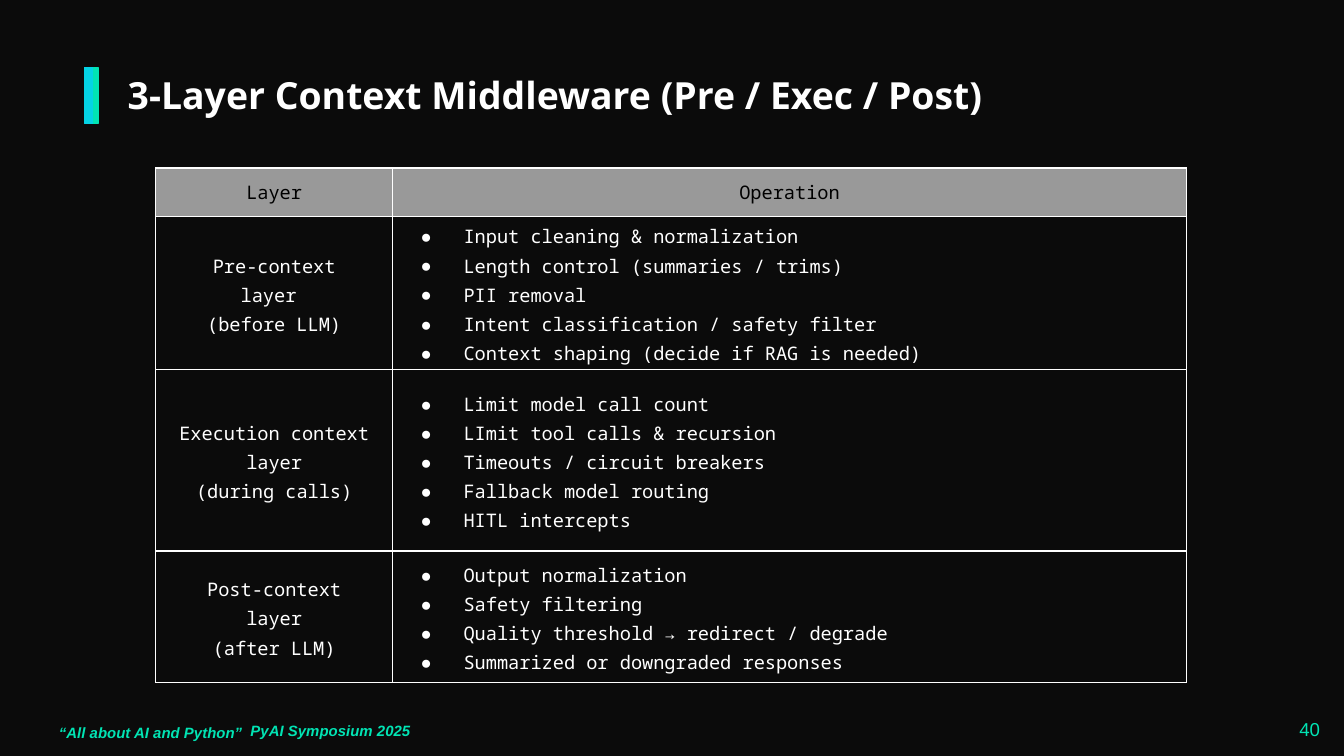
from lxml import etree
from pptx import Presentation
from pptx import util as u
from pptx.dml.color import RGBColor
from pptx.enum import shapes, text
from pptx.oxml.ns import qn

COLORS = {"background": "0B0B0B", "green": "01E4B4", "cyan": "04D3E5",
          "white": "FFFFFF", "black": "000000", "header": "999999"}
TITLE = "3-Layer Context Middleware (Pre / Exec / Post)"
HEADER = ("Layer", "Operation")
LAYERS = [
    (["Pre-context", "layer ", "(before LLM)"],
     ["Input cleaning & normalization", "Length control (summaries / trims)",
      "PII removal", "Intent classification / safety filter",
      "Context shaping (decide if RAG is needed)"]),
    (["Execution context", "layer", "(during calls)"],
     ["Limit model call count", "LImit tool calls & recursion",
      "Timeouts / circuit breakers", "Fallback model routing", "HITL intercepts"]),
    (["Post-context", "layer", "(after LLM)"],
     ["Output normalization", "Safety filtering",
      "Quality threshold → redirect / degrade", "Summarized or downgraded responses"]),
]
COLUMNS = (1.76, 5.91)
ROWS = (0.36, 1.14, 1.35, 0.98)
BARS = [(0.67, "green"), (0.63, "cyan")]
LEFT, CENTER, RIGHT = text.PP_ALIGN.LEFT, text.PP_ALIGN.CENTER, text.PP_ALIGN.RIGHT
MIDDLE, BOTTOM = text.MSO_ANCHOR.MIDDLE, text.MSO_ANCHOR.BOTTOM
FOOTERS = [
    ("“All about AI and Python”", (0.34, 5.12, 2.29, 0.48), LEFT, BOTTOM, 0.13, 8, True),
    ("PyAI Symposium 2025", (1.73, 5.29, 1.46, 0.29), CENTER, MIDDLE, 0.1, 8, True),
    ("40", (9.32, 5.34, 0.6, 0.17), RIGHT, MIDDLE, 0.1, 10, False),
]


def color(name):
    return RGBColor.from_string(COLORS[name])


def set_font(para, name, size, shade, bold=False, italic=False):
    font = para.font
    font.name, font.size, font.bold, font.italic = name, u.Pt(size), bold, italic
    font.color.rgb = color(shade)


def set_frame(frame, anchor, bottom=0.1):
    frame.word_wrap = True
    frame.vertical_anchor = anchor
    frame.margin_left = frame.margin_right = frame.margin_top = u.Inches(0.1)
    frame.margin_bottom = u.Inches(bottom)


def add_color(parent, tag, shade):
    etree.SubElement(etree.SubElement(parent, qn(tag)), qn("a:srgbClr"), val=COLORS[shade])


def add_bullet(para):
    props = para._p.get_or_add_pPr()
    props.set("marL", str(u.Inches(0.5)))
    props.set("indent", str(u.Inches(-0.32)))
    add_color(props, "a:buClr", "white")
    etree.SubElement(props, qn("a:buFont"), typeface="Noto Sans Mono")
    etree.SubElement(props, qn("a:buChar"), char="●")


def add_borders(cell):
    props = cell._tc.get_or_add_tcPr()
    for side in ("lnL", "lnR", "lnT", "lnB"):
        add_color(etree.SubElement(props, qn("a:" + side), w=str(u.Pt(0.75))),
                  "a:solidFill", "white")


def fill_cell(cell, lines, header=False, bullets=False):
    add_borders(cell)
    if header:
        cell.fill.solid()
        cell.fill.fore_color.rgb = color("header")
    else:
        cell.fill.background()
    cell.vertical_anchor = MIDDLE
    cell.margin_left = cell.margin_right = u.Inches(0.03)
    cell.margin_top = cell.margin_bottom = u.Inches(0.02)
    frame = cell.text_frame
    frame.text = "\n".join(lines)
    for para in frame.paragraphs:
        para.alignment = LEFT if bullets else CENTER
        if not header:
            para.line_spacing = 1.15
        if bullets:
            add_bullet(para)
        set_font(para, "Noto Sans Mono", 10, "black" if header else "white")


def add_layer_table(page):
    table = page.shapes.add_table(len(ROWS), len(COLUMNS), u.Inches(1.16), u.Inches(1.25),
                                  u.Inches(sum(COLUMNS)), u.Inches(sum(ROWS))).table
    table.first_row = table.horz_banding = False
    for column, width in zip(table.columns, COLUMNS):
        column.width = u.Inches(width)
    for row, height in zip(table.rows, ROWS):
        row.height = u.Inches(height)
    for index, label in enumerate(HEADER):
        fill_cell(table.cell(0, index), [label], header=True)
    for index, (layer, operations) in enumerate(LAYERS, 1):
        fill_cell(table.cell(index, 0), layer)
        fill_cell(table.cell(index, 1), operations, bullets=True)


def main():
    """Build the context middleware slide."""
    deck = Presentation()
    deck.slide_width = u.Inches(10)
    deck.slide_height = deck.slide_width * 9 // 16
    page = deck.slides.add_slide(deck.slide_layouts[5])
    page.background.fill.solid()
    page.background.fill.fore_color.rgb = color("background")

    for left, shade in BARS:
        bar = page.shapes.add_shape(shapes.MSO_SHAPE.RECTANGLE, u.Inches(left), u.Inches(0.5),
                                    u.Inches(0.06), u.Inches(0.42))
        bar.shadow.inherit = False
        bar.fill.solid()
        bar.fill.fore_color.rgb = bar.line.color.rgb = color(shade)
        bar.line.width = u.Pt(0.75)

    for words, place, align, anchor, bottom, size, strong in FOOTERS:
        box = page.shapes.add_textbox(*map(u.Inches, place))
        set_frame(box.text_frame, anchor, bottom)
        para = box.text_frame.paragraphs[0]
        para.text, para.alignment = words, align
        set_font(para, "Arial", size, "green", strong, strong)

    title = page.shapes.title
    title.left, title.top, title.width, title.height = map(u.Inches, (0.85, 0.43, 8.5, 0.55))
    set_frame(title.text_frame, MIDDLE)
    para = title.text_frame.paragraphs[0]
    para.text, para.alignment = TITLE, LEFT
    set_font(para, "Noto Sans", 20, "white", bold=True)

    add_layer_table(page)
    deck.save("out.pptx")


if __name__ == "__main__":
    main()
